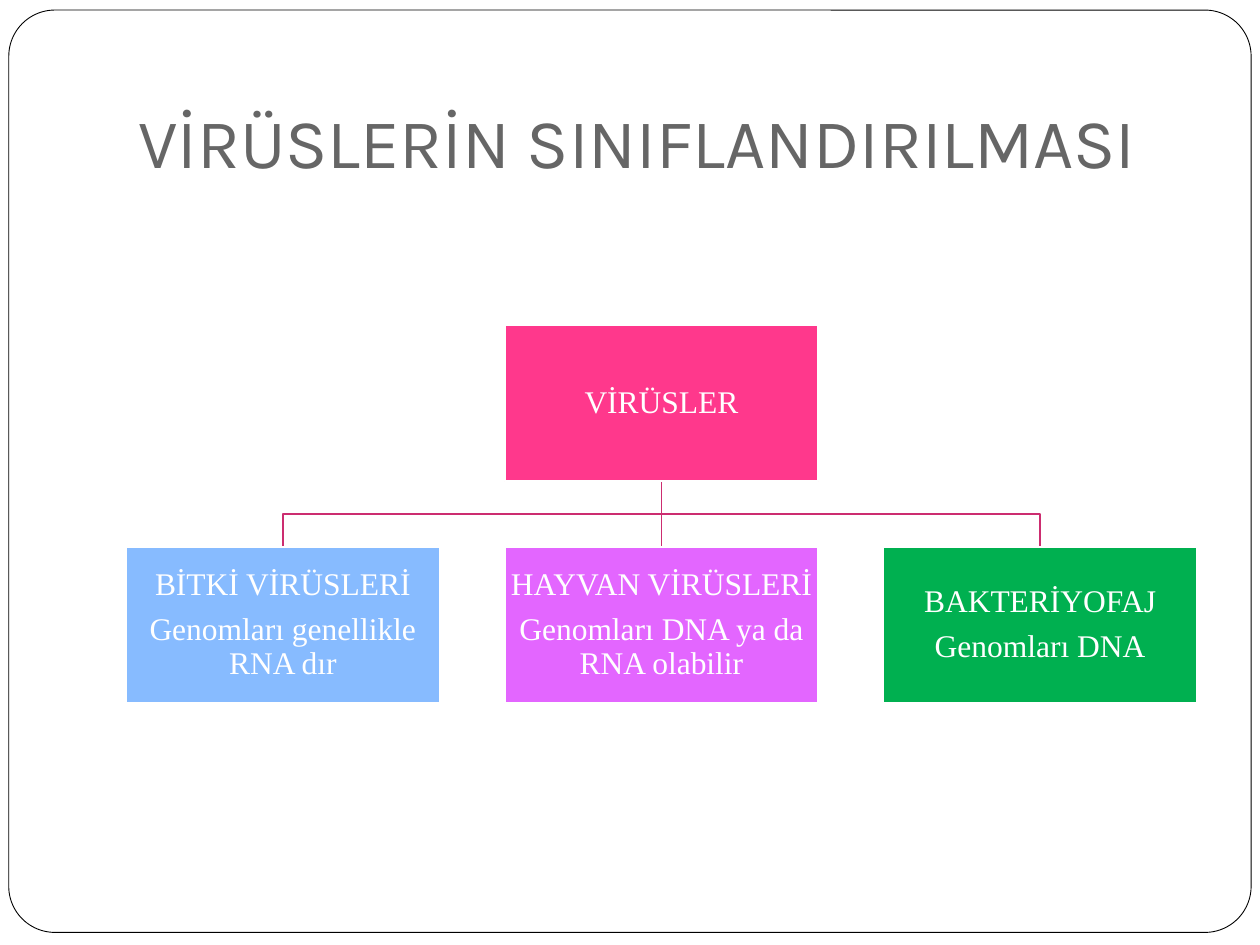
from dataclasses import dataclass

from lxml import etree
from pptx import Presentation
from pptx.dml.color import RGBColor
from pptx.enum.shapes import MSO_CONNECTOR, MSO_SHAPE
from pptx.enum.text import MSO_ANCHOR, PP_ALIGN
from pptx.oxml.ns import qn
from pptx.util import Inches, Pt

RECTANGLE = MSO_SHAPE.RECTANGLE
ROUNDED = MSO_SHAPE.ROUNDED_RECTANGLE
STRAIGHT = MSO_CONNECTOR.STRAIGHT
MIDDLE = MSO_ANCHOR.MIDDLE
BOTTOM = MSO_ANCHOR.BOTTOM
CENTER = PP_ALIGN.CENTER

SLIDE_WIDTH, SLIDE_HEIGHT = Inches(10), Inches(7.5)
CHART_LEFT = 0.1 * SLIDE_WIDTH
CHART_WIDTH = 0.85 * SLIDE_WIDTH
COLUMNS = 3
BOX_WIDTH, BOX_HEIGHT = Inches(2.49), Inches(1.24)
COLUMN_STEP = (CHART_WIDTH - BOX_WIDTH) / (COLUMNS - 1)
ROW_TOP = Inches(2.58)
ROW_STEP = Inches(1.76)
BRANCH_COLOR = "CC2D70"


@dataclass(frozen=True)
class VirusGroup:
    column: int
    row: int
    color: str
    lines: tuple[str, ...]

    @property
    def left(self) -> int:
        return int(CHART_LEFT + self.column * COLUMN_STEP)

    @property
    def top(self) -> int:
        return int(ROW_TOP + self.row * ROW_STEP)

    @property
    def center(self) -> int:
        return int(self.left + BOX_WIDTH / 2)


VIRUSES = VirusGroup(1, 0, "FF388C", ("VİRÜSLER",))
GROUPS = (
    VirusGroup(0, 1, "87BBFF", ("BİTKİ VİRÜSLERİ", "Genomları genellikle RNA dır")),
    VirusGroup(1, 1, "E366FF", ("HAYVAN VİRÜSLERİ", "Genomları DNA ya da RNA olabilir")),
    VirusGroup(2, 1, "00B050", ("BAKTERİYOFAJ", "Genomları DNA")),
)


def rgb(color: str) -> RGBColor:
    return RGBColor.from_string(color)


def set_line(shape, color: str, width: float) -> None:
    shape.line.color.rgb = rgb(color)
    shape.line.width = Pt(width)


def style_shape(shape, fill: str, line: str, width: float) -> None:
    shape.shadow.inherit = False
    shape.fill.solid()
    shape.fill.fore_color.rgb = rgb(fill)
    set_line(shape, line, width)


def style_font(paragraph, name: str, size: float, color: str) -> None:
    for run in paragraph.runs:
        run.font.name = name
        run.font.size = Pt(size)
        run.font.color.rgb = rgb(color)


def draw_frame(shapes) -> None:
    frame = shapes.add_shape(ROUNDED, Inches(0.07), Inches(0.08), Inches(9.86), Inches(7.32))
    frame.adjustments[0] = 0.05
    style_shape(frame, "FFFFFF", "000000", 0.5)


def draw_title(shapes) -> None:
    title = shapes.add_textbox(
        int(CHART_LEFT), int(0.04 * SLIDE_HEIGHT), int(CHART_WIDTH), Inches(1.25)
    )
    content = title.text_frame
    content.word_wrap = True
    content.vertical_anchor = BOTTOM
    content.margin_bottom = Inches(0.1)
    content.text = "VİRÜSLERİN SINIFLANDIRILMASI"
    style_font(content.paragraphs[0], "Karla", 40, "666666")


def draw_branch(shapes, parent: VirusGroup, child: VirusGroup) -> None:
    start = parent.top + BOX_HEIGHT
    if child.column == parent.column:
        branch = shapes.add_connector(STRAIGHT, parent.center, start, child.center, child.top)
        etree.SubElement(branch.line._get_or_add_ln().getparent(), qn("a:effectLst"))
    else:
        bend = (start + child.top) // 2
        outline = shapes.build_freeform(parent.center, start)
        outline.add_line_segments(
            [(parent.center, bend), (child.center, bend), (child.center, child.top)],
            close=False,
        )
        branch = outline.convert_to_shape()
        branch.shadow.inherit = False
        branch.fill.background()
    set_line(branch, BRANCH_COLOR, 1)


def draw_group(shapes, group: VirusGroup) -> None:
    box = shapes.add_shape(RECTANGLE, group.left, group.top, BOX_WIDTH, BOX_HEIGHT)
    style_shape(box, group.color, "FFFFFF", 1)
    content = box.text_frame
    content.word_wrap = True
    content.vertical_anchor = MIDDLE
    content.margin_left = content.margin_right = Inches(0.01)
    content.margin_top = content.margin_bottom = Inches(0.01)
    content.text = "\n".join(group.lines)
    for paragraph in content.paragraphs:
        paragraph.alignment = CENTER
        paragraph.line_spacing = 0.9
        paragraph.space_after = Pt(6.3)
        style_font(paragraph, "Times New Roman", 18, "FFFFFF")


def main() -> None:
    presentation = Presentation()
    presentation.slide_width = SLIDE_WIDTH
    presentation.slide_height = SLIDE_HEIGHT
    shapes = presentation.slides.add_slide(presentation.slide_layouts[6]).shapes
    draw_frame(shapes)
    draw_title(shapes)
    for group in reversed(GROUPS):
        draw_branch(shapes, VIRUSES, group)
    for group in (VIRUSES, *GROUPS):
        draw_group(shapes, group)
    presentation.save("out.pptx")


if __name__ == "__main__":
    main()
